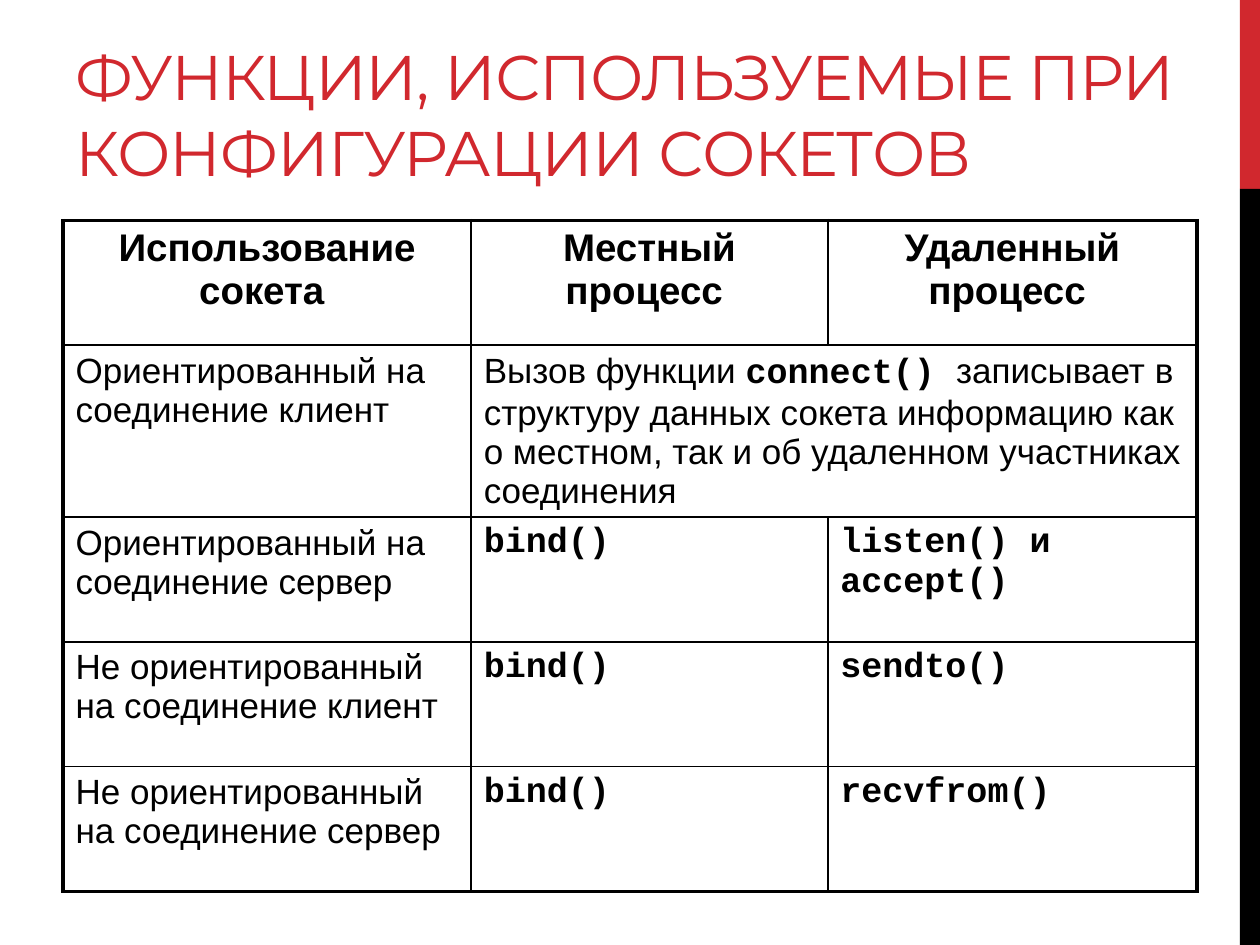
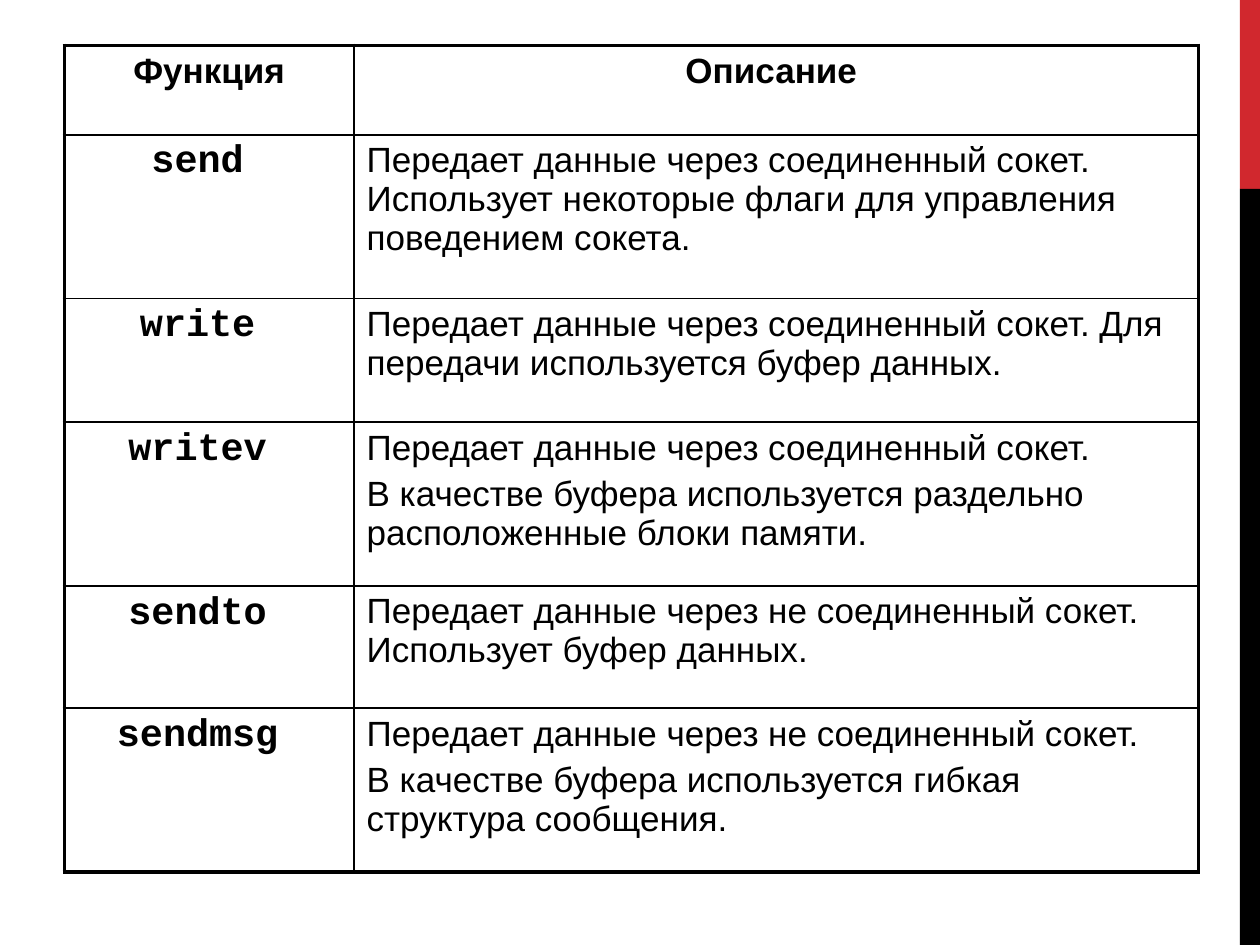
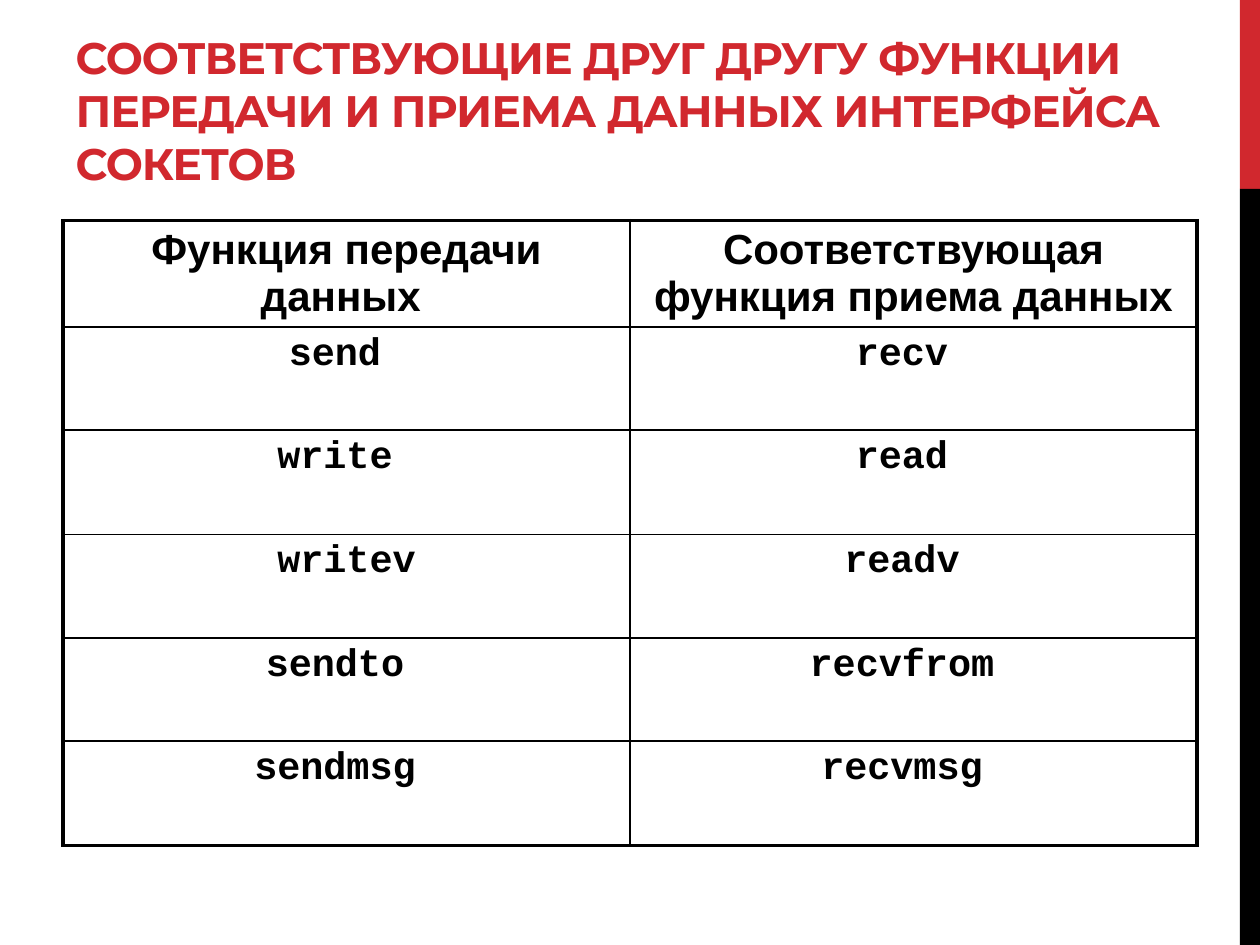
"""Build three slides with tables of socket functions."""
from dataclasses import dataclass

from lxml.etree import SubElement
from pptx import Presentation
from pptx.dml.color import RGBColor
from pptx.enum.shapes import MSO_SHAPE as Shape
from pptx.enum.text import MSO_ANCHOR as Anchor, MSO_AUTO_SIZE as AutoSize, PP_ALIGN as Align
from pptx.oxml.ns import qn
from pptx.util import Inches, Pt


@dataclass(frozen=True)
class TextStyle:
    font: str
    size: float
    bold: bool = False
    align: Align = Align.LEFT
    color: str = "000000"
    spacing: int = 0


@dataclass(frozen=True)
class Theme:
    red = "D1282E"
    black = "000000"
    outer_border = 2.25
    inner_border = 1
    paragraph_gap = 4
    title = TextStyle("Montserrat", 36, color=red, spacing=-60)
    long_title = TextStyle("Montserrat", 25.2, True, color=red, spacing=-60)
    small_header = TextStyle("Arial", 20, True, Align.CENTER)
    header = TextStyle("Arial", 22, True, Align.CENTER)
    large_header = TextStyle("Arial", 24, True, Align.CENTER)
    text = TextStyle("Arial", 20)
    call = TextStyle("Courier New", 20, True)
    function = TextStyle("Courier New", 22, True, Align.CENTER)


theme = Theme()


def add_run(paragraph, text, style):
    run = paragraph.add_run()
    run.text = text
    run.font.name = style.font
    run.font.size = Pt(style.size)
    run.font.bold = style.bold
    run.font.color.rgb = RGBColor.from_string(style.color)
    if style.spacing:
        run._r.get_or_add_rPr().set("spc", str(style.spacing))


def add_border(cell, side, width):
    line = SubElement(cell._tc.get_or_add_tcPr(), qn(f"a:{side}"), w=str(Pt(width)))
    fill = SubElement(line, qn("a:solidFill"))
    SubElement(fill, qn("a:srgbClr"), val=theme.black)


side_bars = [(0, 1.5, theme.red), (1.5, 6, theme.black)]

slides = [
    {
        "title": "ФУНКЦИИ, ИСПОЛЬЗУЕМЫЕ ПРИ КОНФИГУРАЦИИ СОКЕТОВ",
        "title_style": theme.title,
        "position": (0.5, 1.75),
        "column_widths": [3.24, 2.83, 2.93],
        "row_heights": [0.99] * 5,
        "header_style": theme.header,
        "column_styles": [theme.text, theme.call, theme.call],
        "rows": [
            ["Использование сокета ", "Местный процесс ", "Удаленный процесс "],
            [
                "Ориентированный на соединение клиент",
                "`Вызов функции `connect() `записывает в структуру данных сокета "
                "информацию как о местном, так и об удаленном участниках соединения",
                None,
            ],
            ["Ориентированный на соединение сервер", "bind()", "listen() и accept()"],
            ["Не ориентированный на соединение клиент", "bind()", "sendto()"],
            ["Не ориентированный на соединение сервер", "bind()", "recvfrom()"],
        ],
    },
    {
        "title": None,
        "position": (0.51, 0.36),
        "column_widths": [2.3, 6.7],
        "row_heights": [0.71, 1.3, 0.98, 1.3, 0.97, 1.3],
        "header_style": theme.small_header,
        "column_styles": [theme.function, theme.text],
        "rows": [
            ["Функция", "Описание "],
            [
                "send ",
                "Передает данные через соединенный сокет. Использует некоторые флаги "
                "для управления поведением сокета.",
            ],
            [
                "write ",
                "Передает данные через соединенный сокет. Для передачи используется "
                "буфер данных.",
            ],
            [
                "writev ",
                "Передает данные через соединенный сокет.\n"
                "В качестве буфера используется раздельно расположенные блоки памяти.",
            ],
            [
                "sendto ",
                "Передает данные через не соединенный сокет. Использует буфер данных.",
            ],
            [
                "sendmsg ",
                "Передает данные через не соединенный сокет.\n"
                "В качестве буфера используется гибкая структура сообщения.",
            ],
        ],
    },
    {
        "title": "СООТВЕТСТВУЮЩИЕ ДРУГ ДРУГУ ФУНКЦИИ ПЕРЕДАЧИ И ПРИЕМА ДАННЫХ "
        "ИНТЕРФЕЙСА СОКЕТОВ",
        "title_style": theme.long_title,
        "position": (0.5, 1.75),
        "column_widths": [4.5, 4.5],
        "row_heights": [0.83, 0.82, 0.83, 0.82, 0.82, 0.83],
        "header_style": theme.large_header,
        "column_styles": [theme.function, theme.function],
        "rows": [
            ["Функция передачи данных ", "Соответствующая функция приема данных"],
            ["send ", "recv "],
            ["write ", "read "],
            ["writev", "readv "],
            ["sendto ", "recvfrom "],
            ["sendmsg ", "recvmsg "],
        ],
    },
]

presentation = Presentation()
presentation.slide_width = Inches(10)
presentation.slide_height = Inches(7.5)
title_only, blank = presentation.slide_layouts[5], presentation.slide_layouts[6]

for content in slides:
    slide = presentation.slides.add_slide(title_only if content["title"] else blank)

    for top, height, color in side_bars:
        bar = slide.shapes.add_shape(
            Shape.RECTANGLE, Inches(9.84), Inches(top), Inches(0.16), Inches(height)
        )
        bar.shadow.inherit = False
        bar.fill.solid()
        bar.fill.fore_color.rgb = RGBColor.from_string(color)
        bar.line.fill.background()

    if content["title"]:
        title = slide.shapes.title
        title.left, title.top = Inches(0.5), Inches(0.3)
        title.width, title.height = Inches(9), Inches(1.25)
        title.text_frame.vertical_anchor = Anchor.BOTTOM
        title.text_frame.word_wrap = True
        title.text_frame.auto_size = AutoSize.NONE
        paragraph = title.text_frame.paragraphs[0]
        paragraph.alignment = content["title_style"].align
        add_run(paragraph, content["title"], content["title_style"])

    rows, widths, heights = content["rows"], content["column_widths"], content["row_heights"]
    left, top = content["position"]
    table = slide.shapes.add_table(
        len(rows), len(widths), Inches(left), Inches(top), Inches(sum(widths)), Inches(sum(heights))
    ).table
    table.first_row = table.horz_banding = False
    for column, width in zip(table.columns, widths):
        column.width = Inches(width)
    for row, height in zip(table.rows, heights):
        row.height = Inches(height)

    for row_index, row_texts in enumerate(rows):
        for column_index, text in enumerate(row_texts):
            if text is None:
                table.cell(row_index, column_index - 1).merge(table.cell(row_index, column_index))

    for row_index, row_texts in enumerate(rows):
        for column_index, text in enumerate(row_texts):
            cell = table.cell(row_index, column_index)
            outer_sides = {
                "lnL": column_index == 0,
                "lnR": column_index + cell.span_width == len(widths),
                "lnT": row_index == 0,
                "lnB": row_index == len(rows) - 1,
            }
            for side, is_outer in outer_sides.items():
                add_border(cell, side, theme.outer_border if is_outer else theme.inner_border)
            cell.fill.background()
            if text is None:
                continue

            style = content["column_styles"][column_index] if row_index else content["header_style"]
            for paragraph_index, line in enumerate(text.split("\n")):
                if paragraph_index:
                    paragraph = cell.text_frame.add_paragraph()
                    paragraph.space_before = Pt(theme.paragraph_gap)
                else:
                    paragraph = cell.text_frame.paragraphs[0]
                paragraph.alignment = style.align
                for part_index, part in enumerate(line.split("`")):
                    if part:
                        add_run(paragraph, part, theme.text if part_index % 2 else style)

presentation.save("out.pptx")
